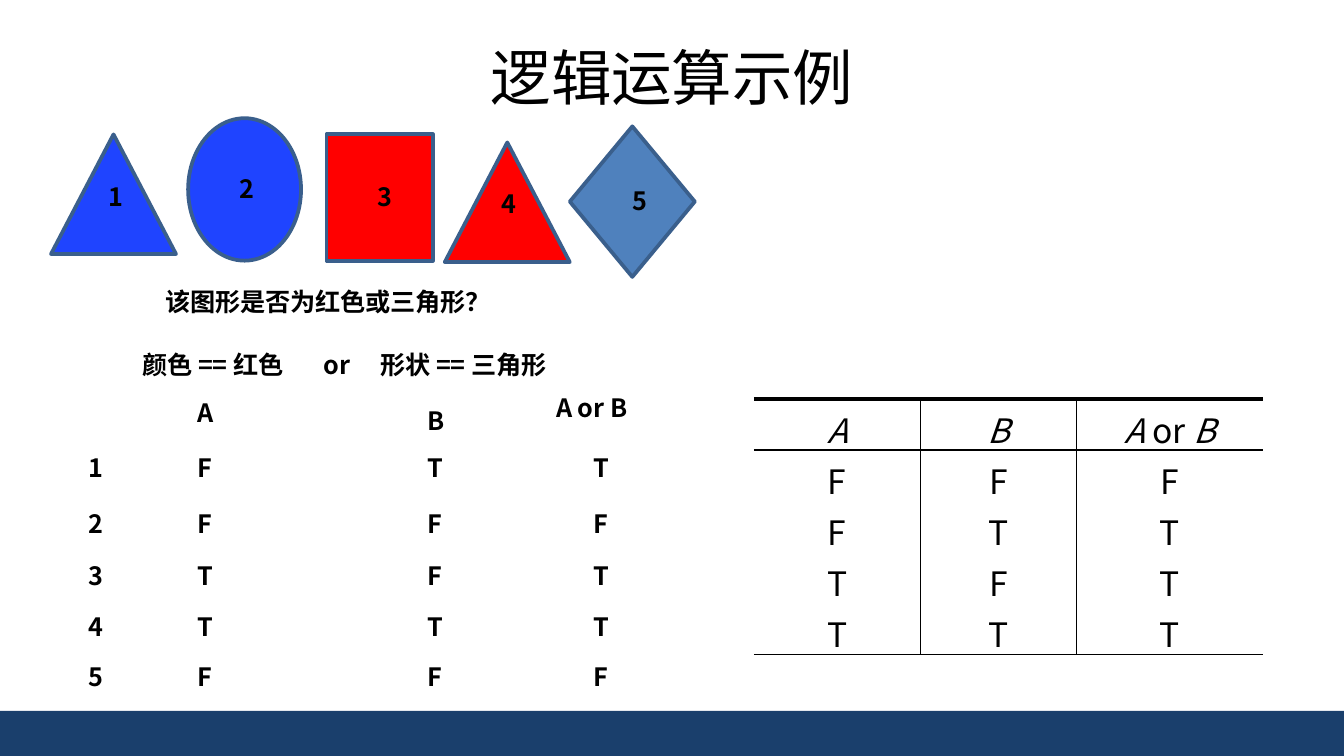
import pptx
import pptx.util
import pptx.dml.color
import pptx.enum.shapes
import pptx.enum.text
import pptx.oxml
import pptx.oxml.ns
from dataclasses import dataclass
from lxml import etree

SHAPE = pptx.enum.shapes.MSO_SHAPE
ALIGN = pptx.enum.text.PP_ALIGN
ANCHOR = pptx.enum.text.MSO_ANCHOR
qn = pptx.oxml.ns.qn


@dataclass(frozen=True)
class Theme:
    font: str = "Noto Sans CJK SC"
    ink: str = "000000"
    blue: str = "1F44FF"
    red: str = "FF0000"
    steel: str = "4F81BD"
    outline: str = "3A5F8C"
    footer: str = "1A3F6C"
    title_size: float = 32.4
    label_size: float = 13.5
    table_size: float = 18
    outline_width: float = 2
    rule: float = 1
    heavy_rule: float = 2.25


THEME = Theme()
PX_PER_INCH = 100
SLIDE_SIZE = (1000, 562.5)
FOOTER_BOX = (0, 529, 1000, 33.5)
TITLE = "逻辑运算示例"
TITLE_BOX = (50, 23, 900, 67)
LABEL_HEIGHT = 33

FIGURES = [
    ("1", SHAPE.ISOSCELES_TRIANGLE, THEME.blue, (38, 100, 93, 89), (71, 130)),
    ("2", SHAPE.OVAL, THEME.blue, (140, 88, 84, 106), (168, 124)),
    ("3", SHAPE.RECTANGLE, THEME.red, (243, 100, 79, 94), (271, 130)),
    ("4", SHAPE.ISOSCELES_TRIANGLE, THEME.red, (331, 106, 93, 89), (363, 135)),
    ("5", SHAPE.DIAMOND, THEME.steel, (424, 94, 93, 112), (461, 133)),
]
FIGURE_LABEL_WIDTH = 28

LABELS = [
    ("该图形是否为红色或三角形？", 113, 208, 390),
    ("颜色 == 红色", 96, 255, 189),
    ("or", 231, 255, 71),
    ("形状 == 三角形", 273, 255, 278),
    ("A", 137, 291, 30),
    ("B", 308, 297, 30),
    ("A or B", 404, 287, 109),
]

ANSWERS = [
    (332, "1", "FTT"),
    (373, "2", "FFF"),
    (412, "3", "TFT"),
    (450, "4", "TTT"),
    (487, "5", "FFF"),
]
NUMBER_COLUMN = (54, 35)
ANSWER_LEFTS = (137, 308, 432)
ANSWER_WIDTH = 47

TABLE_BOX = (561, 297, 379, 188)
COLUMN_WIDTHS = (124, 116, 139)
TRUTH_HEADER = [[("A", True)], [("B", True)], [("A ", True), ("or ", False), ("B", True)]]
TRUTH_VALUES = ["FFF", "FTT", "TFT", "TTT"]


def px(value):
    return round(value * pptx.util.Inches(1) / PX_PER_INCH)


def box(values):
    return [px(value) for value in values]


def color(value):
    return pptx.dml.color.RGBColor.from_string(value)


def format_paragraph(paragraph, size, bold=False, align=ALIGN.LEFT):
    paragraph.alignment = align
    font = paragraph.font
    font.name = THEME.font
    font.size = pptx.util.Pt(size)
    font.bold = bold
    font.color.rgb = color(THEME.ink)
    properties = paragraph._p.pPr.find(qn("a:defRPr"))
    etree.SubElement(properties, qn("a:ea"), typeface=THEME.font)


def add_label(slide, text, left, top, width, align=ALIGN.LEFT):
    shape = slide.shapes.add_textbox(*box((left, top, width, LABEL_HEIGHT)))
    frame = shape.text_frame
    frame.word_wrap = True
    frame.text = text
    format_paragraph(frame.paragraphs[0], THEME.label_size, True, align)


def add_figure(slide, kind, fill, position):
    shape = slide.shapes.add_shape(kind, *box(position))
    shape.shadow.inherit = False
    shape.fill.solid()
    shape.fill.fore_color.rgb = color(fill)
    return shape


def set_space_before(paragraph, percent):
    spacing = etree.Element(qn("a:spcBef"))
    etree.SubElement(spacing, qn("a:spcPct"), val=str(percent * 1000))
    paragraph._p.pPr.insert(0, spacing)


def set_borders(cell, widths):
    properties = cell._tc.get_or_add_tcPr()
    for index, (side, width) in enumerate(zip("LRTB", widths)):
        line = etree.Element(qn(f"a:ln{side}"), w=str(pptx.util.Pt(width)))
        if width:
            fill = etree.SubElement(line, qn("a:solidFill"))
            etree.SubElement(fill, qn("a:srgbClr"), val=THEME.ink)
        else:
            etree.SubElement(line, qn("a:noFill"))
        properties.insert(index, line)


def add_truth_table(slide):
    rows = [TRUTH_HEADER] + [[[(value, False)] for value in row] for row in TRUTH_VALUES]
    last_row, last_column = len(rows) - 1, len(COLUMN_WIDTHS) - 1
    table = slide.shapes.add_table(len(rows), len(COLUMN_WIDTHS), *box(TABLE_BOX)).table
    table.first_row = table.horz_banding = False
    for column, width in zip(table.columns, COLUMN_WIDTHS):
        column.width = px(width)
    for row_index, row in enumerate(rows):
        table.rows[row_index].height = px(TABLE_BOX[3] / len(rows))
        for column_index, runs in enumerate(row):
            cell = table.cell(row_index, column_index)
            cell.fill.background()
            cell.vertical_anchor = ANCHOR.MIDDLE
            cell.margin_left = cell.margin_right = px(7)
            cell.margin_top = cell.margin_bottom = px(4)
            paragraph = cell.text_frame.paragraphs[0]
            format_paragraph(paragraph, THEME.table_size, align=ALIGN.CENTER)
            set_space_before(paragraph, 20)
            for text, italic in runs:
                run = paragraph.add_run()
                run.text = text
                run.font.italic = italic
            set_borders(cell, (
                THEME.rule if column_index > 0 else 0,
                THEME.rule if column_index < last_column else 0,
                {0: THEME.heavy_rule, 1: THEME.rule}.get(row_index, 0),
                THEME.rule if row_index in (0, last_row) else 0,
            ))


def main():
    presentation = pptx.Presentation()
    presentation.slide_width, presentation.slide_height = box(SLIDE_SIZE)
    slide = presentation.slides.add_slide(presentation.slide_layouts[5])

    add_figure(slide, SHAPE.RECTANGLE, THEME.footer, FOOTER_BOX).line.fill.background()

    title = slide.shapes.title
    title.left, title.top, title.width, title.height = box(TITLE_BOX)
    title.text_frame.text = TITLE
    title.text_frame.vertical_anchor = ANCHOR.MIDDLE
    format_paragraph(title.text_frame.paragraphs[0], THEME.title_size, align=ALIGN.CENTER)

    for number, kind, fill, position, label_position in FIGURES:
        shape = add_figure(slide, kind, fill, position)
        shape.line.color.rgb = color(THEME.outline)
        shape.line.width = pptx.util.Pt(THEME.outline_width)
        add_label(slide, number, *label_position, FIGURE_LABEL_WIDTH)

    for label in LABELS:
        add_label(slide, *label)

    for top, number, values in ANSWERS:
        left, width = NUMBER_COLUMN
        add_label(slide, number, left, top, width, ALIGN.CENTER)
        for left, value in zip(ANSWER_LEFTS, values):
            add_label(slide, value, left, top, ANSWER_WIDTH)

    add_truth_table(slide)
    presentation.save("out.pptx")


if __name__ == "__main__":
    main()
